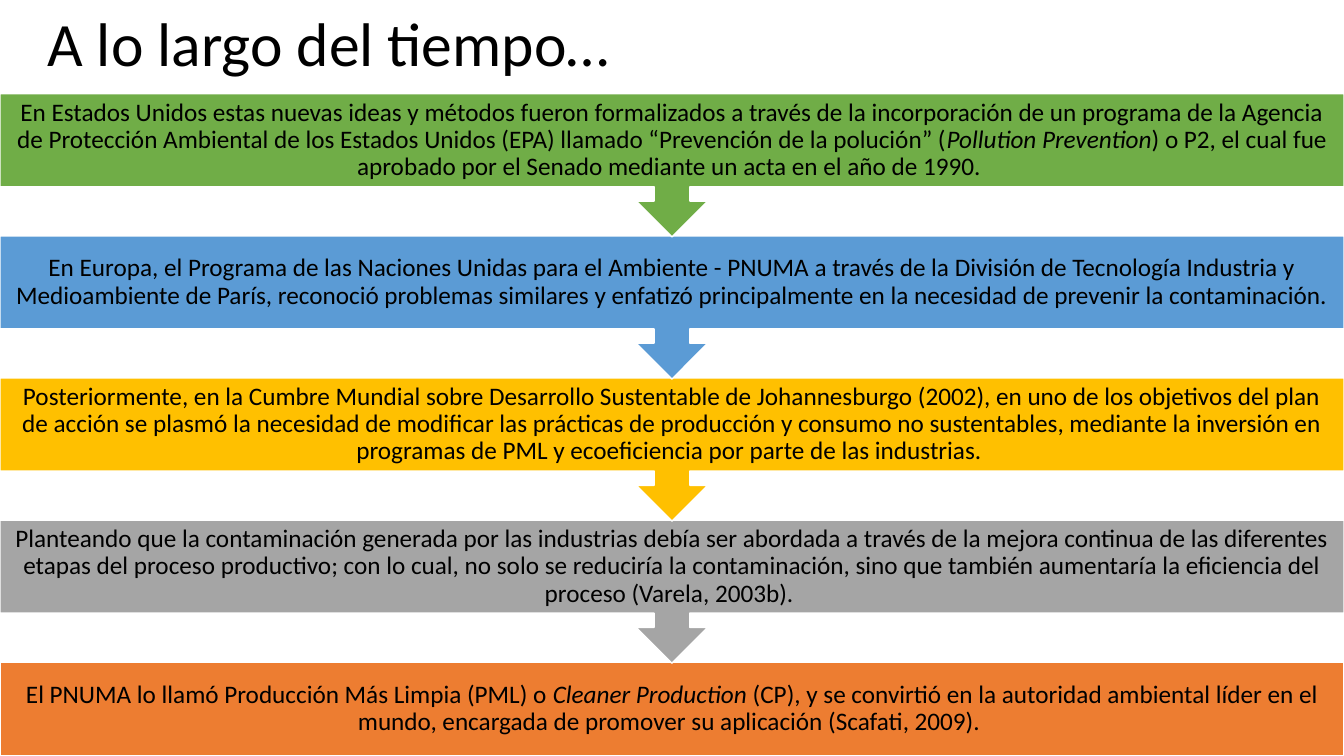
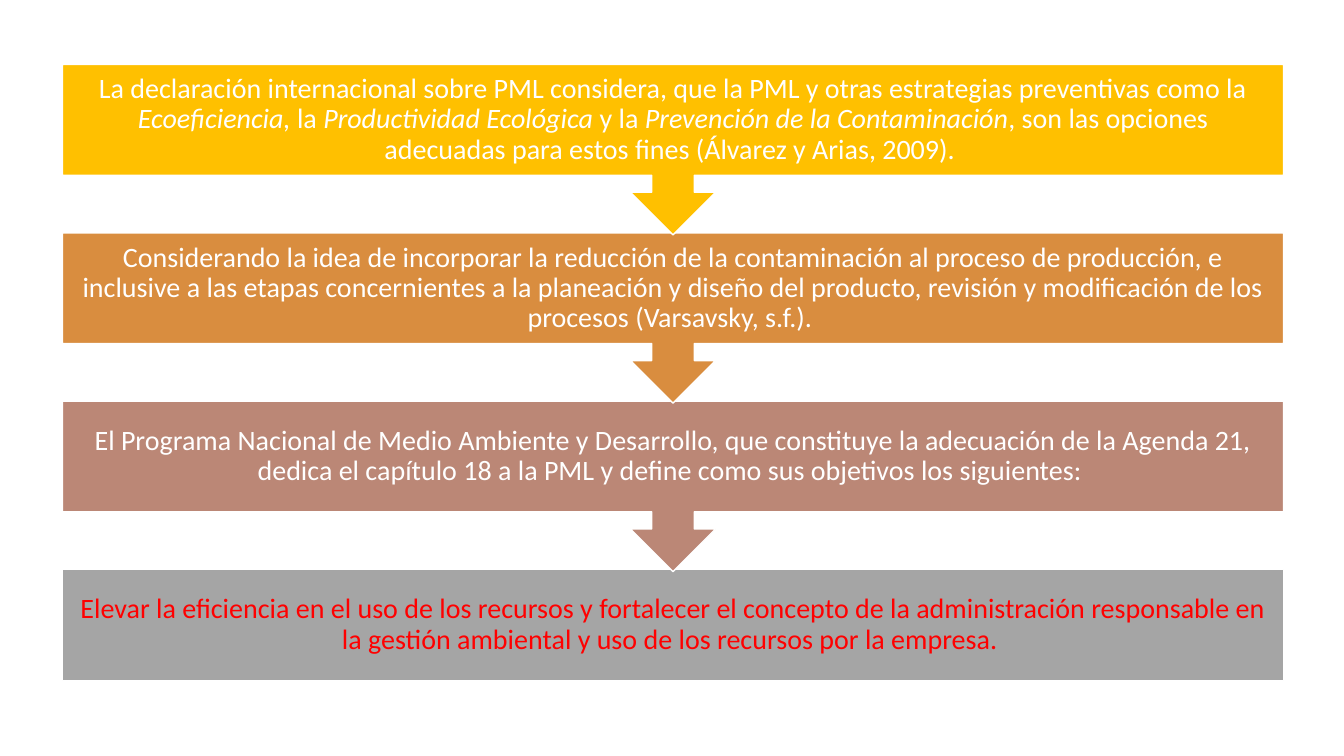
from pptx import Presentation
from pptx.dml.color import RGBColor
from pptx.enum.shapes import MSO_SHAPE as Shape
from pptx.enum.text import MSO_ANCHOR as Anchor, MSO_AUTO_SIZE as AutoSize, PP_ALIGN as Align
from pptx.util import Inches, Pt

FONT = "Calibri"
COLORS = {
    "black": "000000", "white": "FFFFFF", "red": "FF0000",
    "green": "70AD47", "blue": "5B9BD5", "gold": "FFC000",
    "gray": "A5A5A5", "orange": "ED7D31",
    "amber": "D98D3F", "clay": "BB8776",
}
TITLE_ONLY, BLANK = 5, 6

HISTORY_STEPS = [
    ("green", "black", "En Estados Unidos estas nuevas ideas y métodos fueron formalizados a través de la "
     "incorporación de un programa de la Agencia de Protección Ambiental de los Estados Unidos (EPA) "
     "llamado “Prevención de la polución” (*Pollution Prevention*) o P2, el cual fue aprobado por el "
     "Senado mediante un acta en el año de 1990. "),
    ("blue", "black", "En Europa, el Programa de las Naciones Unidas para el Ambiente - PNUMA a través de la "
     "División de Tecnología Industria y Medioambiente de París, reconoció problemas similares y "
     "enfatizó principalmente en la necesidad de prevenir la contaminación. "),
    ("gold", "black", "Posteriormente, en la Cumbre Mundial sobre Desarrollo Sustentable de Johannesburgo "
     "(2002), en uno de los objetivos del plan de acción se plasmó la necesidad de modificar las "
     "prácticas de producción y consumo no sustentables, mediante la inversión en programas de PML y "
     "ecoeficiencia por parte de las industrias. "),
    ("gray", "black", "Planteando que la contaminación generada por las industrias debía ser abordada a "
     "través de la mejora continua de las diferentes etapas del proceso productivo; con lo cual, no solo "
     "se reduciría la contaminación, sino que también aumentaría la eficiencia del proceso "
     "(Varela, 2003b). "),
    ("orange", "black", "El PNUMA lo llamó Producción Más Limpia (PML) o *Cleaner Production *(CP), y se "
     "convirtió en la autoridad ambiental líder en el mundo, encargada de promover su aplicación "
     "(Scafati, 2009). "),
]
DECLARATION_STEPS = [
    ("gold", "white", "La declaración internacional sobre PML considera, que la PML y otras estrategias "
     "preventivas como la *Ecoeficiencia, *la *Productividad Ecológica *y la *Prevención de la "
     "Contaminación*, son las opciones adecuadas para estos fines (Álvarez y Arias, 2009). "),
    ("amber", "white", "Considerando la idea de incorporar la reducción de la contaminación al proceso de "
     "producción, e inclusive a las etapas concernientes a la planeación y diseño del producto, revisión "
     "y modificación de los procesos (Varsavsky, s.f.). "),
    ("clay", "white", "El Programa Nacional de Medio Ambiente y Desarrollo, que constituye la adecuación de "
     "la Agenda 21, dedica el capítulo 18 a la PML y define como sus objetivos los siguientes: "),
    ("gray", "red", "Elevar la eficiencia en el uso de los recursos y fortalecer el concepto de la "
     "administración responsable en la gestión ambiental y uso de los recursos por la empresa. "),
]


def color(name):
    return RGBColor.from_string(COLORS[name])


def write_text(shape, text, *, size, color_name="black", align=Align.LEFT, side=0.1, edge=0.05):
    """Write one paragraph; asterisks enclose italic passages."""
    frame = shape.text_frame
    frame.word_wrap = True
    frame.auto_size = AutoSize.NONE
    frame.vertical_anchor = Anchor.MIDDLE
    frame.margin_left = frame.margin_right = Inches(side)
    frame.margin_top = frame.margin_bottom = Inches(edge)
    paragraph = frame.paragraphs[0]
    paragraph.alignment = align
    paragraph.line_spacing = 0.9
    for index, part in enumerate(text.split("*")):
        run = paragraph.add_run()
        run.text = part
        run.font.name = FONT
        run.font.size = Pt(size)
        run.font.italic = index % 2 == 1
        run.font.color.rgb = color(color_name)


def add_title(slide, text):
    title = slide.shapes.title
    title.left, title.top = Inches(0.37), Inches(0)
    title.width, title.height = Inches(11.5), Inches(0.93)
    write_text(title, text, size=44)


def add_step(slide, kind, box, fill, text, **text_format):
    shape = slide.shapes.add_shape(kind, *(Inches(length) for length in box))
    shape.shadow.inherit = False
    shape.fill.solid()
    shape.fill.fore_color.rgb = color(fill)
    shape.line.color.rgb = color("white")
    shape.line.width = Pt(1)
    write_text(shape, text, align=Align.CENTER, **text_format)


def add_process(slide, steps, *, left, top, width, pitch, callout_height, last_height, size, side):
    last = len(steps) - 1
    for index in range(last, -1, -1):
        fill, text_color, text = steps[index]
        kind, height = Shape.DOWN_ARROW_CALLOUT, callout_height
        if index == last:
            kind, height = Shape.RECTANGLE, last_height
        add_step(slide, kind, (left, top + index * pitch, width, height), fill, text,
                 size=size, color_name=text_color, side=side, edge=0.04)


def main():
    presentation = Presentation()
    presentation.slide_width = Inches(13.33)
    presentation.slide_height = Inches(7.5)
    layouts = presentation.slide_layouts

    history = presentation.slides.add_slide(layouts[TITLE_ONLY])
    add_title(history, "A lo largo del tiempo…")
    add_process(history, HISTORY_STEPS, left=0, top=0.93, width=13.33, pitch=1.41,
                callout_height=1.42, last_height=0.93, size=18, side=0.14)

    declaration = presentation.slides.add_slide(layouts[BLANK])
    add_process(declaration, DECLARATION_STEPS, left=0.62, top=0.64, width=12.11, pitch=1.67,
                callout_height=1.69, last_height=1.1, size=20, side=0.16)

    presentation.save("out.pptx")


if __name__ == "__main__":
    main()
